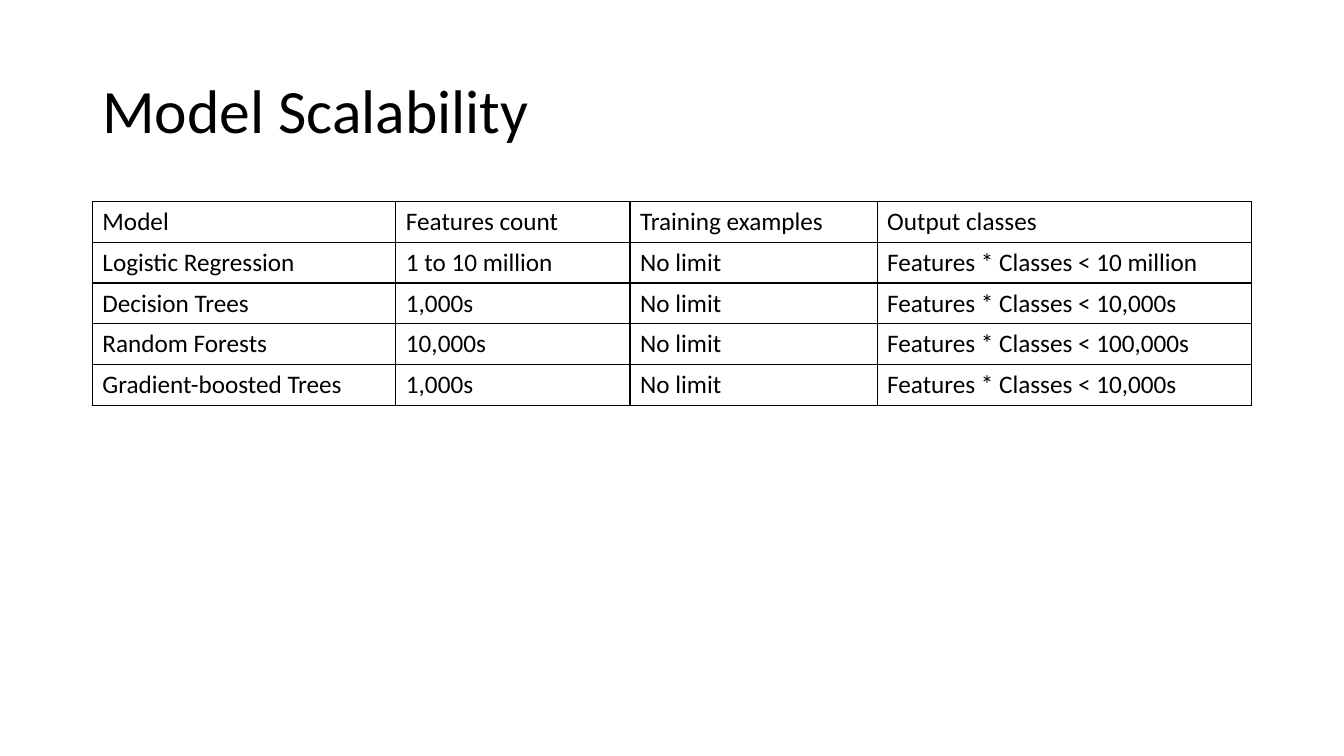
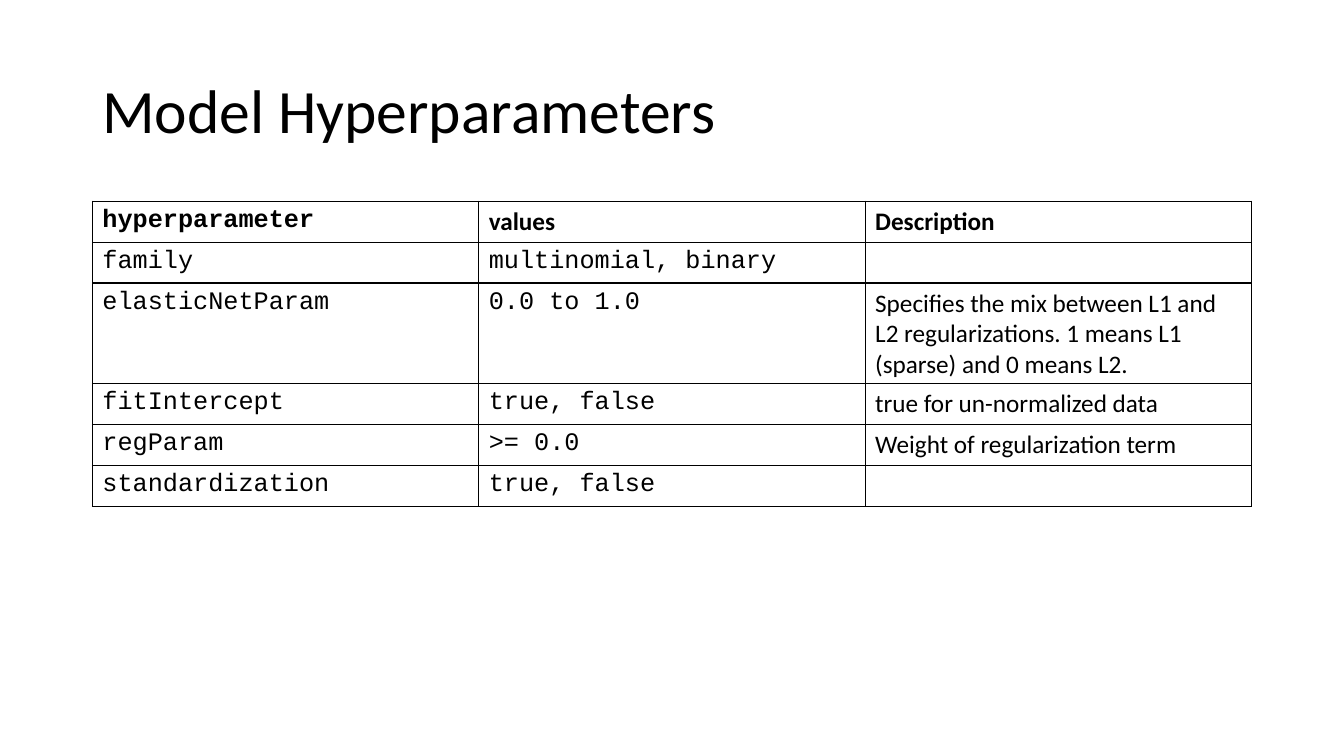
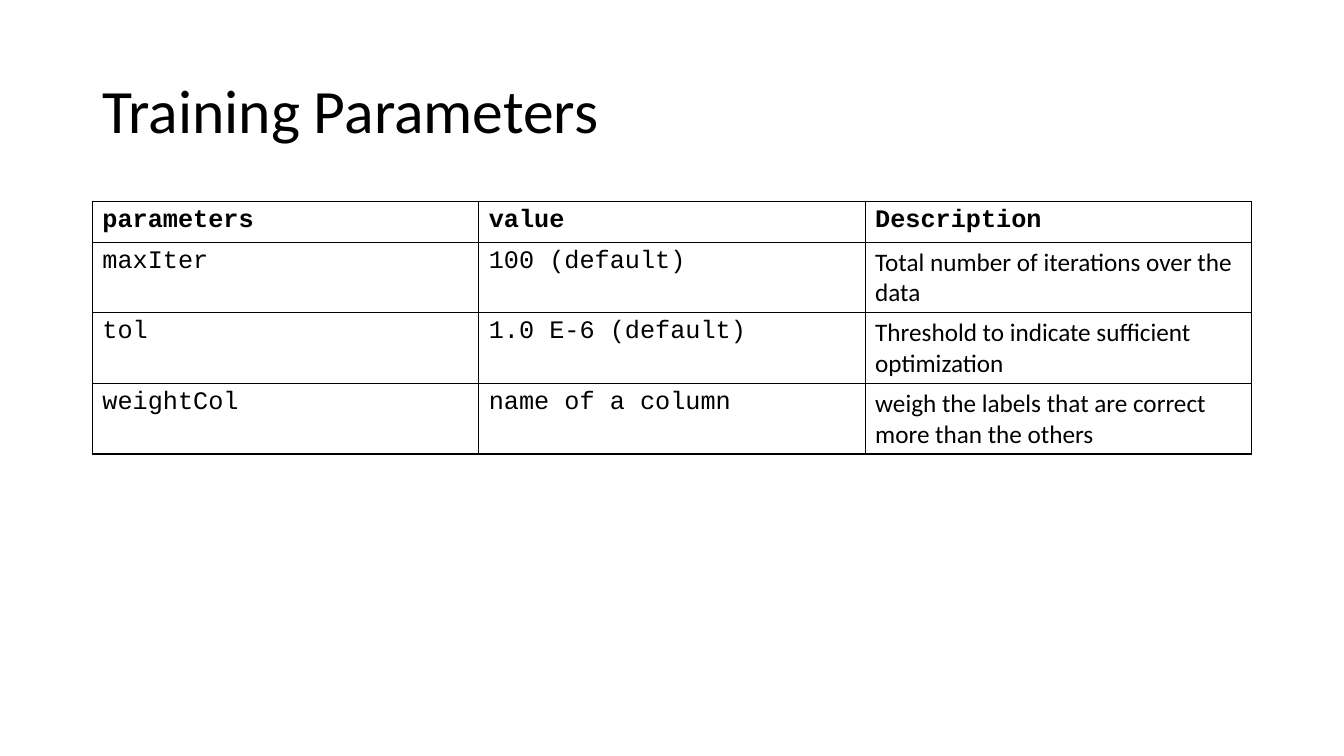
from lxml import etree
from pptx import Presentation
from pptx.dml.color import RGBColor
from pptx.enum import text
from pptx.oxml import ns
from pptx.util import Pt

# Content: title, column widths, header fonts, body fonts, rows
SANS, MONO = "Calibri", "Courier New"
COLORS = {"ink": "000000", "paper": "FFFFFF"}
LEFT, WIDTH = 66, 828
THIRDS = [WIDTH / 3] * 3

SLIDES = [
    {
        "title": "Model Scalability",
        "cols": [216.8, 167.3, 176.5, 267.4],
        "head": [SANS] * 4, "body": [SANS] * 4, "bold": False,
        "rows": [
            ("Model", "Features count", "Training examples", "Output classes"),
            ("Logistic Regression", "1 to 10 million", "No limit",
             "Features * Classes < 10 million"),
            ("Decision Trees", "1,000s", "No limit",
             "Features * Classes < 10,000s"),
            ("Random Forests", "10,000s", "No limit",
             "Features * Classes < 100,000s"),
            ("Gradient-boosted Trees", "1,000s", "No limit",
             "Features * Classes < 10,000s"),
        ],
    },
    {
        "title": "Model Hyperparameters",
        "cols": THIRDS,
        "head": [MONO, SANS, SANS], "body": [MONO, MONO, SANS], "bold": True,
        "rows": [
            ("hyperparameter", "values", "Description"),
            ("family", "multinomial, binary", ""),
            ("elasticNetParam", "0.0 to 1.0",
             "Specifies the mix between L1 and L2 regularizations. "
             "1 means L1 (sparse) and 0 means L2."),
            ("fitIntercept", "true, false", "true for un-normalized data"),
            ("regParam", ">= 0.0", "Weight of regularization term"),
            ("standardization", "true, false", ""),
        ],
    },
    {
        "title": "Training Parameters",
        "cols": THIRDS,
        "head": [MONO] * 3, "body": [MONO, MONO, SANS], "bold": True,
        "rows": [
            ("parameters", "value", "Description"),
            ("maxIter", "100 (default)",
             "Total number of iterations over the data"),
            ("tol", "1.0 E-6 (default)",
             "Threshold to indicate sufficient optimization"),
            ("weightCol", "name of a column",
             "weigh the labels that are correct more than the others"),
        ],
    },
]

# Shared layout, in points
TITLE_TOP, TITLE_H = 28.75, 104.4
TABLE_TOP, ROW_H = 143.75, 29.2


def color(name):
    return RGBColor.from_string(COLORS[name])


def write(frame, words, font=SANS, size=18, bold=False, spacing=None):
    para = frame.paragraphs[0]
    para.line_spacing = spacing
    para.font.size = Pt(size)
    if not words:
        return
    run = para.add_run()
    run.text = words
    run.font.name, run.font.size, run.font.bold = font, Pt(size), bold
    run.font.color.rgb = color("ink")


def add_title(slide, words):
    box = slide.shapes.add_textbox(
        Pt(LEFT), Pt(TITLE_TOP), Pt(WIDTH), Pt(TITLE_H))
    frame = box.text_frame
    frame.word_wrap = True
    frame.vertical_anchor = text.MSO_ANCHOR.MIDDLE
    write(frame, words, size=44, spacing=0.9)


def style_cell(cell):
    props = cell._tc.get_or_add_tcPr()
    for side in "LRTB":
        line = etree.SubElement(props, ns.qn("a:ln" + side), w=str(Pt(1)))
        fill = etree.SubElement(line, ns.qn("a:solidFill"))
        etree.SubElement(fill, ns.qn("a:srgbClr"), val=COLORS["ink"])
    cell.fill.solid()
    cell.fill.fore_color.rgb = color("paper")


def add_grid(slide, data):
    rows, cols = data["rows"], data["cols"]
    grid = slide.shapes.add_table(
        len(rows), len(cols), Pt(LEFT), Pt(TABLE_TOP),
        Pt(WIDTH), Pt(ROW_H * len(rows))).table
    grid.first_row = grid.horz_banding = False
    for col, width in zip(grid.columns, cols):
        col.width = Pt(width)
    for r, row in enumerate(rows):
        grid.rows[r].height = Pt(ROW_H)
        fonts = data["body"] if r else data["head"]
        for c, (words, font) in enumerate(zip(row, fonts)):
            cell = grid.cell(r, c)
            style_cell(cell)
            write(cell.text_frame, words, font=font,
                  bold=data["bold"] and r == 0)


# Build the slides
deck = Presentation()
deck.slide_width, deck.slide_height = Pt(960), Pt(540)
for data in SLIDES:
    slide = deck.slides.add_slide(deck.slide_layouts[6])
    slide.background.fill.solid()
    slide.background.fill.fore_color.rgb = color("paper")
    add_title(slide, data["title"])
    add_grid(slide, data)
deck.save("out.pptx")
